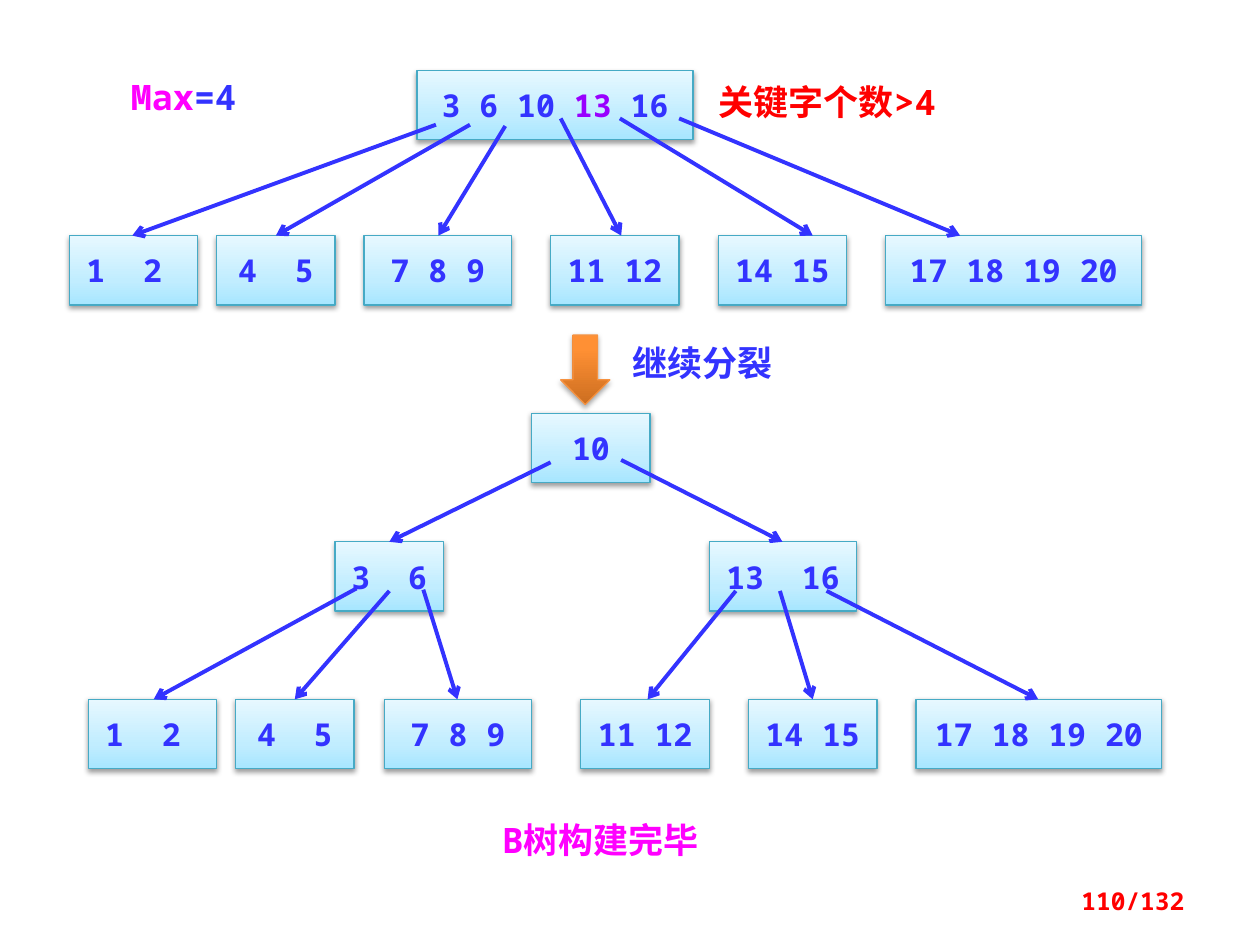
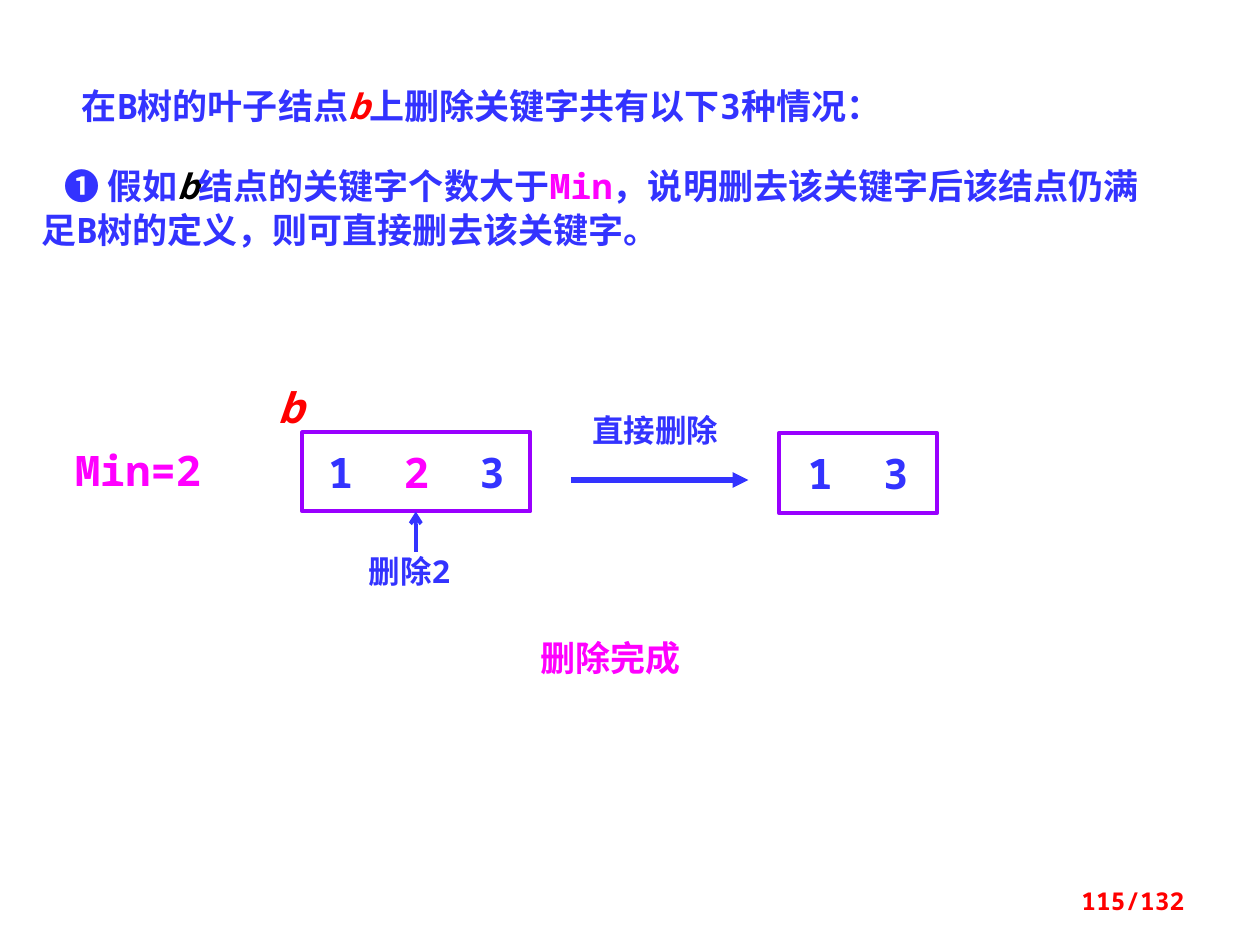
from lxml.etree import SubElement
from pptx import Presentation
from pptx.dml.color import RGBColor
from pptx.enum.shapes import MSO_CONNECTOR as Connector, MSO_SHAPE as Preset
from pptx.enum.text import MSO_ANCHOR as Anchor, PP_ALIGN as Align
from pptx.oxml.ns import qn
from pptx.util import Inches, Pt

GRID = 0.1
BLANK_LAYOUT = 6
LATIN_FONT = "Noto Sans Mono"
ASIAN_FONT = "Noto Sans CJK SC"
WHITE, BLACK = "FFFFFF", "000000"
BLUE, MAGENTA, RED, PURPLE = "3333FF", "FF00FF", "FF0000", "9900FF"
NODE_STOPS = [(0, "A7E6FF"), (35, "C1EDFF"), (100, "E7F8FF")]
NODE_EDGE = "46AAC5"
ARROW_STOPS = [(0, "CC6E20"), (80, "FF9034"), (100, "FF9136")]
ARROW_EDGE = "F69240"
NODE_HEIGHT = 5.5
LEAF_KEYS = ["1  2", "4  5", "7 8 9", "11 12", "14 15", "17 18 19 20"]
LEAF_WIDTHS = [10.2, 9.4, 11.7, 10.2, 10.2]
FIRST_LEAF_PAD = 1.5


def color(value):
    return RGBColor.from_string(value)


def cells(*numbers):
    return [Inches(number * GRID) for number in numbers]


def write(shape, *runs, size=20, fill=BLUE, align=Align.CENTER, anchor=Anchor.TOP,
          insets=(1, 0.5, 1, 0.5), indent=0, spacing=None):
    frame = shape.text_frame
    frame.word_wrap = True
    frame.vertical_anchor = anchor
    (frame.margin_left, frame.margin_top,
     frame.margin_right, frame.margin_bottom) = cells(*insets)
    paragraph = frame.paragraphs[0]
    paragraph.alignment = align
    if indent:
        paragraph._p.get_or_add_pPr().set("indent", str(cells(indent)[0]))
    if spacing:
        paragraph.line_spacing = Pt(spacing)
    for item in runs:
        text, run_fill, italic = item if isinstance(item, tuple) else (item, fill, False)
        run = paragraph.add_run()
        run.text = text
        font = run.font
        font.size, font.bold, font.italic = Pt(size), True, italic
        font.color.rgb = color(run_fill)
        font.name = LATIN_FONT
        SubElement(run._r.get_or_add_rPr(), qn("a:ea"), typeface=ASIAN_FONT)


def add_label(slide, place, *runs, **style):
    write(slide.shapes.add_textbox(*cells(*place)), *runs, **style)


def add_caption(slide, place, *runs, **style):
    add_label(slide, place, *runs, insets=(0, 0, 0, 0), **style)


def add_glossy(slide, preset, place, stops, edge, opacity):
    shape = slide.shapes.add_shape(preset, *cells(*place))
    shape.fill.gradient()
    shape.fill.gradient_angle = 90
    properties = shape.element.spPr
    stop_list = properties.find(qn("a:gradFill")).find(qn("a:gsLst"))
    for old_stop in list(stop_list):
        stop_list.remove(old_stop)
    for position, value in stops:
        stop = SubElement(stop_list, qn("a:gs"), pos=str(position * 1000))
        SubElement(stop, qn("a:srgbClr"), val=value)
    shape.line.color.rgb = color(edge)
    shape.line.width = Pt(0.75)
    shape.shadow.inherit = False
    shadow = SubElement(properties.find(qn("a:effectLst")), qn("a:outerShdw"),
                        blurRad=str(Pt(3.1)), dist=str(Pt(1.6)), dir="5400000",
                        rotWithShape="0")
    tint = SubElement(shadow, qn("a:srgbClr"), val=BLACK)
    SubElement(tint, qn("a:alpha"), val=str(opacity * 1000))
    return shape


def add_node(slide, left, top, width, *runs, right_pad=0):
    node = add_glossy(slide, Preset.RECTANGLE, (left, top, width, NODE_HEIGHT),
                      NODE_STOPS, NODE_EDGE, 38)
    write(node, *runs, size=18, anchor=Anchor.MIDDLE, insets=(0, 0.5, right_pad, 0.5))


def add_leaves(slide, top, lefts, last_width):
    widths = LEAF_WIDTHS + [last_width]
    pads = [FIRST_LEAF_PAD] + [0] * (len(widths) - 1)
    for left, width, keys, pad in zip(lefts, widths, LEAF_KEYS, pads):
        add_node(slide, left, top, width, keys, right_pad=pad)


def add_arrow(slide, start, end, head="arrow", width=2.25):
    arrow = slide.shapes.add_connector(Connector.STRAIGHT, *cells(*start, *end))
    arrow.line.color.rgb = color(BLUE)
    arrow.line.width = Pt(width)
    SubElement(arrow.line._get_or_add_ln(), qn("a:tailEnd"), type=head)
    SubElement(arrow.element.spPr, qn("a:effectLst"))


def add_branches(slide, starts, target_columns, target_row):
    for start, column in zip(starts, target_columns):
        add_arrow(slide, start, (column, target_row))


def add_key_box(slide, place, *runs):
    box = slide.shapes.add_shape(Preset.RECTANGLE, *cells(*place))
    box.fill.solid()
    box.fill.fore_color.rgb = color(WHITE)
    box.line.color.rgb = color(PURPLE)
    box.line.width = Pt(2.25)
    box.shadow.inherit = False
    write(box, *runs, size=24, anchor=Anchor.MIDDLE)


def add_page(presentation, number):
    slide = presentation.slides.add_slide(presentation.slide_layouts[BLANK_LAYOUT])
    add_label(slide, (71.7, 69.5, 23.3, 4), f"{number}/132", size=14, fill=RED,
              align=Align.RIGHT, anchor=Anchor.MIDDLE)
    return slide


def build_split_slide(presentation):
    slide = add_page(presentation, 110)
    add_label(slide, (9.4, 5.5, 14.8, 4.4), ("Max", MAGENTA, False), "=4",
              align=Align.LEFT)
    add_label(slide, (54.7, 5.9, 21.9, 4.4), "关键字个数>4", fill=RED)

    add_node(slide, 33.1, 5.6, 21.9, "3 6 10 ", ("13 ", PURPLE, False), "16")
    add_leaves(slide, 18.7, [5.5, 17.2, 28.9, 43.7, 57, 70.3], 20.3)
    add_branches(slide, [(34.6, 9.9), (37.3, 9.9), (40.1, 10),
                         (44.5, 9.4), (49.2, 9.4), (53.9, 9.4)],
                 [10.5, 21.9, 34.8, 49.3, 64.5, 76.2], 18.7)

    add_glossy(slide, Preset.DOWN_ARROW, (44.5, 26.6, 3.9, 5.5),
               ARROW_STOPS, ARROW_EDGE, 35)
    add_label(slide, (49.2, 26.6, 14.8, 4.4), "继续分裂", align=Align.LEFT)

    add_node(slide, 42.2, 32.8, 9.4, "10")
    add_node(slide, 26.6, 43, 8.6, "3  6")
    add_node(slide, 56.3, 43, 11.7, "13  16")
    add_leaves(slide, 55.5, [7, 18.7, 30.5, 46.1, 59.4, 72.7], 19.5)
    add_branches(slide, [(43.7, 36.7), (49.3, 36.5)], [30.9, 62.1], 43)
    add_branches(slide, [(28.3, 46.7), (30.9, 46.9), (33.6, 46.8),
                         (58.4, 46.9), (61.9, 46.9), (65.6, 46.9)],
                 [12.2, 23.4, 36.3, 51.4, 64.5, 82.4], 55.5)
    add_label(slide, (30.3, 64.5, 34.7, 4.4), "B树构建完毕", fill=MAGENTA)


def build_delete_slide(presentation):
    slide = add_page(presentation, 115)
    add_label(slide, (5.5, 6.2, 89.8, 4.4), "在B树的叶子结点", ("b", RED, True),
              "上删除关键字共有以下3种情况：", align=Align.LEFT)
    add_label(slide, (2.3, 11.7, 89.1, 9.4), "❶ 假如", ("b", BLACK, True),
              "结点的关键字个数大于", ("Min", MAGENTA, False),
              "，说明删去该关键字后该结点仍满足B树的定义，则可直接删去该关键字。",
              align=Align.JUSTIFY, insets=(1, 1.2, 1, 1.2), indent=1.8, spacing=25)

    add_label(slide, (3.9, 34.8, 14.1, 5), "Min=2", size=24, fill=MAGENTA)
    add_key_box(slide, (24, 34.3, 18.1, 6.3), "1  ", ("2", MAGENTA, False), "  3")
    add_caption(slide, (19.5, 30.3, 7.1, 4), ("b", RED, True), size=24)
    add_arrow(slide, (33, 43.8), (33, 40.6))
    add_caption(slide, (25.8, 43.8, 13.4, 3), "删除2", size=18)

    add_arrow(slide, (45.3, 38.1), (59.4, 38.1), head="triangle", width=3)
    add_caption(slide, (45.3, 32.6, 13.4, 3), "直接删除", size=18)
    add_key_box(slide, (61.8, 34.4, 12.6, 6.3), "1  3")
    add_label(slide, (37.5, 50, 21.9, 4.4), "删除完成", fill=MAGENTA)


def main():
    presentation = Presentation()
    presentation.slide_width, presentation.slide_height = cells(100, 75)
    build_split_slide(presentation)
    build_delete_slide(presentation)
    presentation.save("out.pptx")


if __name__ == "__main__":
    main()
